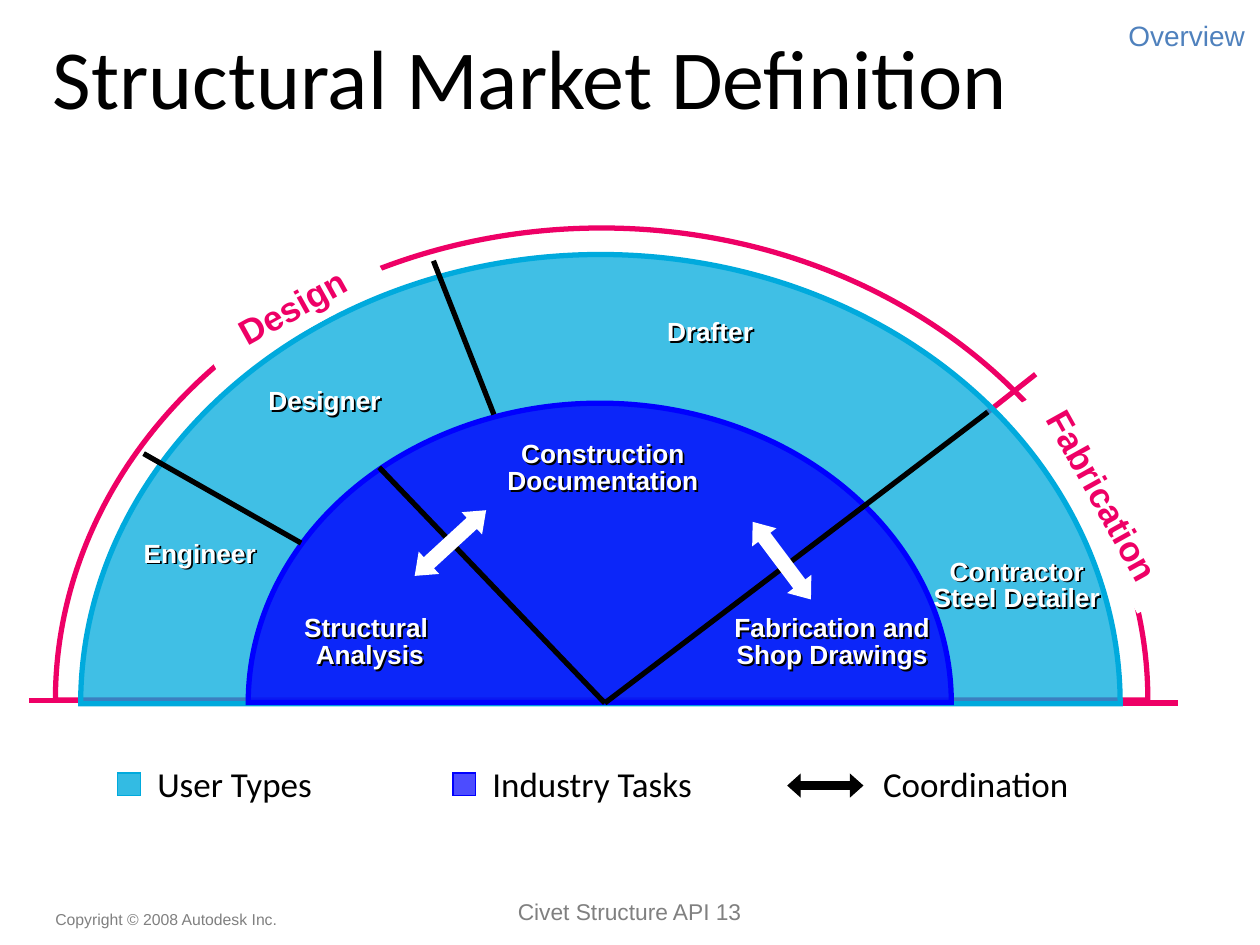
"""Build a slide that maps user types and industry tasks of the structural market."""
import pptx
import pptx.dml.color
import pptx.enum.shapes
import pptx.enum.text
import pptx.oxml.ns
import pptx.util
from lxml import etree

WIDTH = pptx.util.Inches(10)
HEIGHT = pptx.util.Inches(7.5)
COLUMN = WIDTH / 100
ROW = HEIGHT / 75
COLORS = {
    "users": "00AADD",
    "tasks": "0000FF",
    "phase": "EE0066",
    "ink": "000000",
    "paper": "FFFFFF",
    "footer": "808080",
    "section": "4F81BD",
}
SHAPE = pptx.enum.shapes.MSO_SHAPE
ALIGN = pptx.enum.text.PP_ALIGN
ANCHOR = pptx.enum.text.MSO_ANCHOR
qualified = pptx.oxml.ns.qn


def rgb(name):
    """Return the named colour."""
    return pptx.dml.color.RGBColor.from_string(COLORS[name])


def grid(*lengths):
    """Turn alternating columns and rows into slide lengths."""
    return [round(length * (COLUMN, ROW)[index % 2])
            for index, length in enumerate(lengths)]


def paint(shape, fill=None, line=None, weight=0.75, opacity=100):
    """Set the fill, the opacity and the outline of a shape."""
    shape.shadow.inherit = False
    if fill:
        shape.fill.solid()
        shape.fill.fore_color.rgb = rgb(fill)
        if opacity < 100:
            color = shape._element.xpath("./p:spPr/a:solidFill/a:srgbClr")[0]
            etree.SubElement(color, qualified("a:alpha"), val=str(opacity * 1000))
    else:
        shape.fill.background()
    if line:
        shape.line.color.rgb = rgb(line)
        shape.line.width = pptx.util.Pt(weight)
        outline = shape._element.xpath("./p:spPr/a:ln")[0]
        etree.SubElement(outline, qualified("a:miter"), lim="800000")
    else:
        shape.line.fill.background()


def add_shadow(box):
    """Give the letters of an unfilled box a dark shadow."""
    effects = etree.SubElement(box._element.spPr, qualified("a:effectLst"))
    shadow = etree.SubElement(
        effects, qualified("a:outerShdw"), dist="17961", dir="2700000"
    )
    etree.SubElement(shadow, qualified("a:srgbClr"), val=COLORS["ink"])


def write(shape, lines, size, color, font="Arial", bold=False, align=ALIGN.LEFT,
          spacing=None):
    """Write one paragraph per line into a shape."""
    frame = shape.text_frame
    for index, line in enumerate(lines):
        para = frame.paragraphs[0] if index == 0 else frame.add_paragraph()
        para.alignment = align
        if spacing:
            para.line_spacing = spacing
        span = para.add_run()
        span.text = line
        span.font.size = pptx.util.Pt(size)
        span.font.bold = bold
        span.font.color.rgb = rgb(color)
        span.font.name = font


def add_text(page, place, lines, size, color, wrap=True, inset=True,
             anchor=ANCHOR.TOP, **style):
    """Add a text box and return it."""
    box = page.shapes.add_textbox(*grid(*place))
    frame = box.text_frame
    frame.word_wrap = wrap
    frame.vertical_anchor = anchor
    if not inset:
        frame.margin_left = frame.margin_right = 0
        frame.margin_top = frame.margin_bottom = 0
    write(box, lines, size, color, **style)
    return box


def add_label(page, place, *lines):
    """Add a white label with shadowed letters on a ring."""
    box = add_text(page, place, lines, 15, "paper", wrap=False, anchor=ANCHOR.MIDDLE,
                   bold=True, align=ALIGN.CENTER, spacing=0.85)
    add_shadow(box)


def add_half_ellipse(page, place, line, fill=None, opacity=100):
    """Add the upper half of an ellipse."""
    half = page.shapes.add_shape(SHAPE.PIE, *grid(*place))
    half.adjustments[0], half.adjustments[1] = 108, 0
    paint(half, fill, line, 3, opacity)


def add_line(page, start, end, color):
    """Add a straight divider."""
    line = page.shapes.add_connector(
        pptx.enum.shapes.MSO_CONNECTOR.STRAIGHT, *grid(*start, *end)
    )
    line.line.color.rgb = rgb(color)
    line.line.width = pptx.util.Pt(3)
    etree.SubElement(line._element.spPr, qualified("a:effectLst"))


def add_arrow(page, place, adjustments, fill, line=None, rotation=0):
    """Add a double arrow."""
    arrow = page.shapes.add_shape(SHAPE.LEFT_RIGHT_ARROW, *grid(*place))
    arrow.adjustments[0], arrow.adjustments[1] = adjustments
    arrow.rotation = rotation
    paint(arrow, fill, line)


def add_phase(page, place, name, rotation):
    """Add a slanted phase name that interrupts the outer arc."""
    box = page.shapes.add_shape(SHAPE.RECTANGLE, *grid(*place))
    box.rotation = rotation
    paint(box, "paper")
    write(box, [name], 20, "phase", bold=True, align=ALIGN.CENTER)


def add_legend(page):
    """Add the legend row below the diagram."""
    for left, color, opacity in ((9.35, "users", 80), (35.95, "tasks", 70)):
        swatch = page.shapes.add_shape(SHAPE.RECTANGLE, *grid(left, 61.35, 1.8, 1.8))
        paint(swatch, color, color, opacity=opacity)
    add_arrow(page, (62.55, 61.5, 5.9, 1.7), (0.35, 0.56), "ink", "ink")
    for left, width, name in (
        (11.5, 14.4, "User Types"),
        (38.1, 18, "Industry Tasks"),
        (69.1, 16.9, "Coordination"),
    ):
        add_text(page, (left, 60, width, 4.4), [name], 20, "ink", wrap=False,
                 font="Calibri")


def add_diagram(page):
    """Add the rings with their dividers, labels and arrows."""
    for start, end in (
        ((88.6, 55.8), (93.5, 55.8)),
        ((2.3, 55.6), (7.2, 55.6)),
        ((78.4, 32.7), (82.2, 29.7)),
    ):
        add_line(page, start, end, "phase")
    add_half_ellipse(page, (4.4, 18.1, 86.7, 74.9), "phase")
    add_half_ellipse(page, (6.4, 20.2, 82.5, 71.3), "users", "users", 75)
    add_half_ellipse(page, (19.7, 32, 55.8, 47.5), "tasks", "tasks", 80)
    hub = (48, 55.8)
    for start, end in (
        (hub, (30.1, 37.1)),
        (hub, (78.4, 32.7)),
        ((23.9, 43.1), (11.4, 36)),
        ((39.2, 32.9), (34.4, 20.7)),
    ):
        add_line(page, start, end, "ink")
    for left, top, rotation in ((31.9, 41.9, 317.4), (58.2, 43.3, 53.1)):
        add_arrow(page, (left, top, 7.7, 2.4), (0.5, 0.64), "paper", rotation=rotation)
    add_label(page, (20.3, 30.4, 10.9, 3.1), "Designer")
    add_label(page, (10.4, 42.5, 10.9, 3.1), "Engineer")
    add_label(page, (51.9, 24.9, 8.9, 3.1), "Drafter")
    add_label(page, (73, 43.9, 15.4, 5.3), "Contractor", "Steel Detailer")
    add_label(page, (23.1, 48.4, 12.5, 5.3), "Structural ", "Analysis")
    add_label(page, (39.2, 34.6, 17.3, 5.3), "Construction", "Documentation")
    add_label(page, (57.2, 48.4, 17.7, 5.3), "Fabrication and", "Shop Drawings")
    add_phase(page, (15.5, 22.1, 15.3, 4.4), "Design", 330.9)
    add_phase(page, (78, 37.1, 19.1, 4.4), "Fabrication", 60.9)


def main():
    """Build and save the deck."""
    deck = pptx.Presentation()
    deck.slide_width, deck.slide_height = WIDTH, HEIGHT
    page = deck.slides.add_slide(deck.slide_layouts[6])
    add_text(page, (35.9, 70.75, 28.1, 2.9), ["Civet Structure API 13"], 13, "footer",
             align=ALIGN.CENTER)
    add_text(page, (3.4, 71.7, 26.8, 2.5), ["Copyright © 2008 Autodesk Inc."], 9,
             "footer")
    add_text(page, (3.2, 1.5, 96.8, 12.5), ["Structural Market Definition"], 48, "ink",
             font="Calibri")
    add_diagram(page)
    add_legend(page)
    add_text(page, (76.8, 1.5, 22, 2.7), ["Overview"], 16, "section", inset=False,
             align=ALIGN.RIGHT)
    deck.save("out.pptx")


if __name__ == "__main__":
    main()
